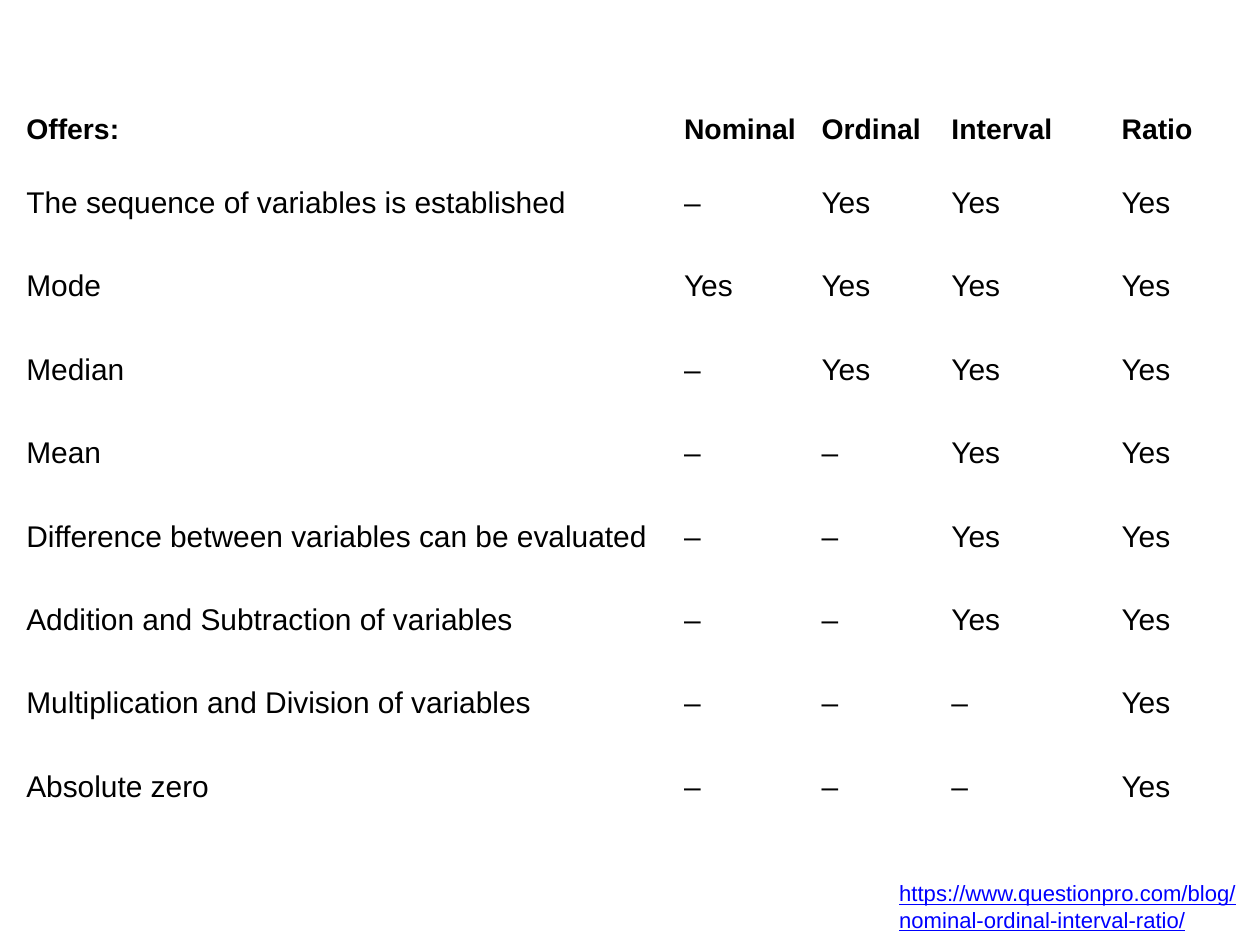
from pptx import Presentation
from pptx.dml.color import RGBColor as RGB
from pptx.enum.text import MSO_AUTO_SIZE as AUTO, MSO_ANCHOR as ANCHOR
from pptx.util import Cm, Pt

COLORS = {"text": "000000", "link": "0000FF"}
SCALES = ["Nominal", "Ordinal", "Interval", "Ratio"]
COL_WIDTHS = [14.73, 3.08, 2.91, 3.81, 2.49]
HEADER_HEIGHT, ROW_HEIGHT = 1.63, 1.87
INSET = Cm(0.25)
FIRST_SCALE = {
    "The sequence of variables is established": "Ordinal",
    "Mode": "Nominal",
    "Median": "Ordinal",
    "Mean": "Interval",
    "Difference between variables can be evaluated": "Interval",
    "Addition and Subtraction of variables": "Interval",
    "Multiplication and Division of variables": "Ratio",
    "Absolute zero": "Ratio",
}


def write(tf, text, size=19, color="text", bold=False, underline=False):
    tf.word_wrap = True
    r = tf.paragraphs[0].add_run()
    r.text = text
    r.font.name = "Arial"
    r.font.size = Pt(size)
    r.font.bold = bold
    r.font.underline = underline
    r.font.color.rgb = RGB.from_string(COLORS[color])


prs = Presentation()
prs.slide_width, prs.slide_height = Cm(28.22), Cm(21.17)
s = prs.slides.add_slide(prs.slide_layouts[6])

sp = s.shapes.add_textbox(Cm(19.89), Cm(19.46), Cm(8.33), Cm(1.71))
tf = sp.text_frame
tf.margin_left = tf.margin_right = tf.margin_top = tf.margin_bottom = INSET
tf.auto_size = AUTO.SHAPE_TO_FIT_TEXT
write(tf, "https://www.questionpro.com/blog/nominal-ordinal-interval-ratio/",
      size=14, color="link", underline=True)

rows = [["Offers:", *SCALES]]
for label, first in FIRST_SCALE.items():
    start = SCALES.index(first)
    rows.append([label] + ["–"] * start + ["Yes"] * (len(SCALES) - start))

heights = [HEADER_HEIGHT] + [ROW_HEIGHT] * len(FIRST_SCALE)
table = s.shapes.add_table(len(rows), len(COL_WIDTHS), Cm(0.34), Cm(2.29),
                           Cm(sum(COL_WIDTHS)), Cm(sum(heights))).table
table.first_row = table.horz_banding = False
for col, width in zip(table.columns, COL_WIDTHS):
    col.width = Cm(width)
for i, (row, height) in enumerate(zip(table.rows, heights)):
    row.height = Cm(height)
    for cell, text in zip(row.cells, rows[i]):
        cell.fill.background()
        cell.vertical_anchor = ANCHOR.TOP
        cell.margin_left = cell.margin_right = INSET
        cell.margin_top = cell.margin_bottom = INSET
        write(cell.text_frame, text, size=19 if i else 18, bold=i == 0)

prs.save("out.pptx")
